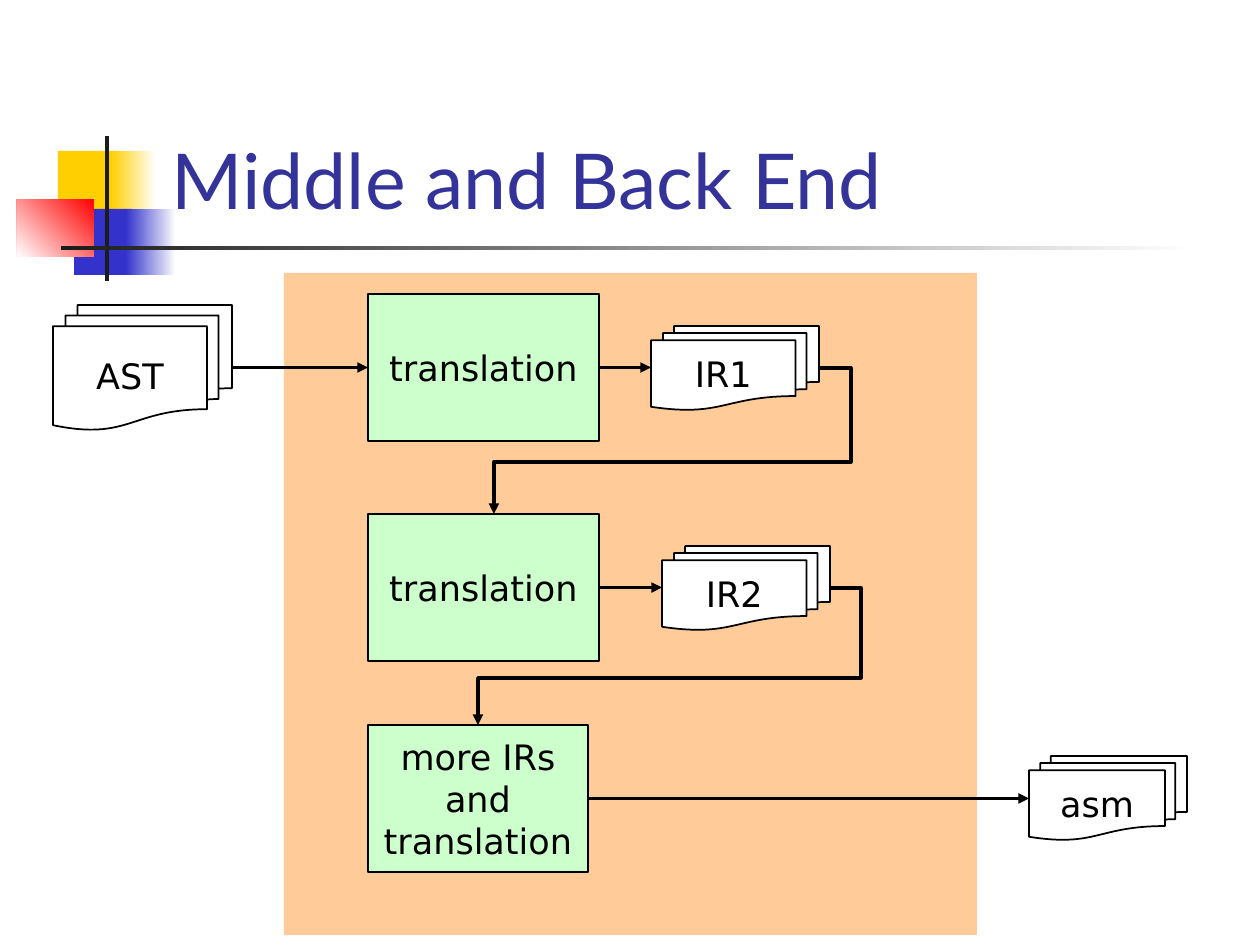
from dataclasses import dataclass
from typing import Optional

from lxml import etree
from pptx import Presentation
from pptx import util as u
from pptx.dml.color import RGBColor
from pptx.enum import shapes, text
from pptx.oxml.ns import qn

PX = 914400 / 126
KIND = shapes.MSO_SHAPE
LEFT, RIGHT = 1, 3


@dataclass(frozen=True)
class Theme:
    white: str = "FFFFFF"
    ink: str = "000000"
    title: str = "333399"
    yellow: str = "FFCF01"
    blue: str = "3333CC"
    red: str = "FF0000"
    rule: str = "1C1C1C"
    panel: str = "FFCC99"
    step: str = "CCFFCC"
    title_font: str = "Lato"
    label_font: str = "DejaVu Sans"
    title_size: int = 44
    label_size: int = 20
    label_gap: float = 12.5
    outline: int = 1
    arrow: int = 2


THEME = Theme()


@dataclass(frozen=True)
class Box:
    left: int
    top: int
    width: int
    height: int
    fill: Optional[str] = None
    label: str = ""
    kind: KIND = KIND.RECTANGLE
    fade: Optional[int] = None  # counter-clockwise angle of a fade to white

    @property
    def right(self) -> int:
        return self.left + self.width

    @property
    def middle(self) -> float:
        return self.top + self.height / 2


def step(top: int, width: int, label: str) -> Box:
    return Box(368, top, width, 147, THEME.step, label, KIND.FLOWCHART_PROCESS)


def document(left: int, top: int, width: int, height: int, label: str,
             fill: Optional[str] = THEME.white) -> Box:
    return Box(left, top, width, height, fill, label, KIND.FLOWCHART_MULTIDOCUMENT)


ORNAMENT = [
    Box(58, 151, 60, 66, THEME.yellow),
    Box(111, 151, 45, 66, THEME.yellow, fade=0),
    Box(74, 209, 58, 66, THEME.blue),
    Box(126, 209, 50, 66, THEME.blue, fade=0),
    Box(17, 199, 77, 58, THEME.red, fade=225),
    Box(105, 136, 4, 145, THEME.rule),
    Box(61, 246, 1134, 4, THEME.rule, fade=0),
]
PANEL = Box(284, 273, 693, 662, THEME.panel)
AST = document(53, 305, 179, 125, "AST", fill=None)
FIRST = step(294, 231, "translation")
IR1 = document(651, 326, 168, 84, "IR1")
SECOND = step(514, 231, "translation")
IR2 = document(662, 546, 168, 84, "IR2")
LAST = step(725, 220, "more IRs and translation")
ASM = document(1029, 756, 158, 84, "asm")


def px(value: float) -> u.Emu:
    return u.Emu(round(value * PX))


def rgb(value: str) -> RGBColor:
    return RGBColor.from_string(value)


def write(frame, words: str, *, font: str, size: int, color: str,
          anchor=text.MSO_ANCHOR.MIDDLE, align=text.PP_ALIGN.CENTER, gap: float = 0) -> None:
    frame.word_wrap = True
    frame.vertical_anchor = anchor
    paragraph = frame.paragraphs[0]
    paragraph.alignment = align
    paragraph.space_before = u.Pt(gap)
    run = paragraph.add_run()
    run.text = words
    run.font.name, run.font.size = font, u.Pt(size)
    run.font.color.rgb = rgb(color)


def draw_box(slide, box: Box):
    shape = slide.shapes.add_shape(
        box.kind, px(box.left), px(box.top), px(box.width), px(box.height))
    shape.shadow.inherit = False
    if box.fill is None:
        shape.fill.background()
    elif box.fade is None:
        shape.fill.solid()
        shape.fill.fore_color.rgb = rgb(box.fill)
    else:
        shape.fill.gradient()
        shape.fill.gradient_angle = box.fade
        for stop, color in zip(shape.fill.gradient_stops, (box.fill, THEME.white)):
            stop.color.rgb = rgb(color)
    if box.label:
        shape.line.color.rgb = rgb(THEME.ink)
        shape.line.width = u.Pt(THEME.outline)
        write(shape.text_frame, box.label, font=THEME.label_font,
              size=THEME.label_size, color=THEME.ink, gap=THEME.label_gap)
    else:
        shape.line.fill.background()
    return shape


def draw_arrow(slide, kind, x1: float, y1: float, x2: float, y2: float):
    arrow = slide.shapes.add_connector(kind, px(x1), px(y1), px(x2), px(y2))
    arrow.line.color.rgb = rgb(THEME.ink)
    arrow.line.width = u.Pt(THEME.arrow)
    etree.SubElement(arrow.line._get_or_add_ln(), qn("a:tailEnd"), type="triangle")
    etree.SubElement(arrow._element.spPr, qn("a:effectLst"))
    return arrow


def draw_straight(slide, source: Box, target: Box, level: float):
    return draw_arrow(slide, shapes.MSO_CONNECTOR.STRAIGHT,
                      source.right, level, target.left, level)


def draw_return(slide, source: Box, target: Box, end_x: int, bend_x: int, bend_y: int) -> None:
    """Lead from a document's right side round and down to the top of the next step."""
    x, y = source.right, source.middle
    arrow = draw_arrow(slide, shapes.MSO_CONNECTOR.ELBOW, x, y, end_x, target.top)
    geometry = arrow._element.spPr.find(qn("a:prstGeom"))
    geometry.set("prst", "bentConnector4")
    guides = geometry.find(qn("a:avLst"))
    ratios = ((bend_x - x) / (end_x - x), (bend_y - y) / (target.top - y))
    for number, ratio in enumerate(ratios, 1):
        etree.SubElement(guides, qn("a:gd"), name=f"adj{number}",
                         fmla=f"val {round(ratio * 100000)}")


def main() -> None:
    deck = Presentation()
    deck.slide_width, deck.slide_height = px(1260), px(945)
    slide = deck.slides.add_slide(deck.slide_layouts[6])

    for part in ORNAMENT:
        draw_box(slide, part)
    heading = slide.shapes.add_textbox(px(159), px(29), px(1074), px(202))
    write(heading.text_frame, "Middle and Back End", font=THEME.title_font,
          size=THEME.title_size, color=THEME.title,
          anchor=text.MSO_ANCHOR.BOTTOM, align=text.PP_ALIGN.LEFT)

    draw_box(slide, PANEL)
    for pages in (AST, IR1, IR2, ASM):
        draw_box(slide, pages)
    steps = {block: draw_box(slide, block) for block in (FIRST, SECOND, LAST)}

    draw_straight(slide, AST, FIRST, FIRST.middle).end_connect(steps[FIRST], LEFT)
    for block, result in ((FIRST, IR1), (SECOND, IR2), (LAST, ASM)):
        draw_straight(slide, block, result, block.middle).begin_connect(steps[block], RIGHT)
    draw_return(slide, IR1, SECOND, end_x=494, bend_x=851, bend_y=462)
    draw_return(slide, IR2, LAST, end_x=478, bend_x=861, bend_y=678)

    deck.save("out.pptx")


if __name__ == "__main__":
    main()
